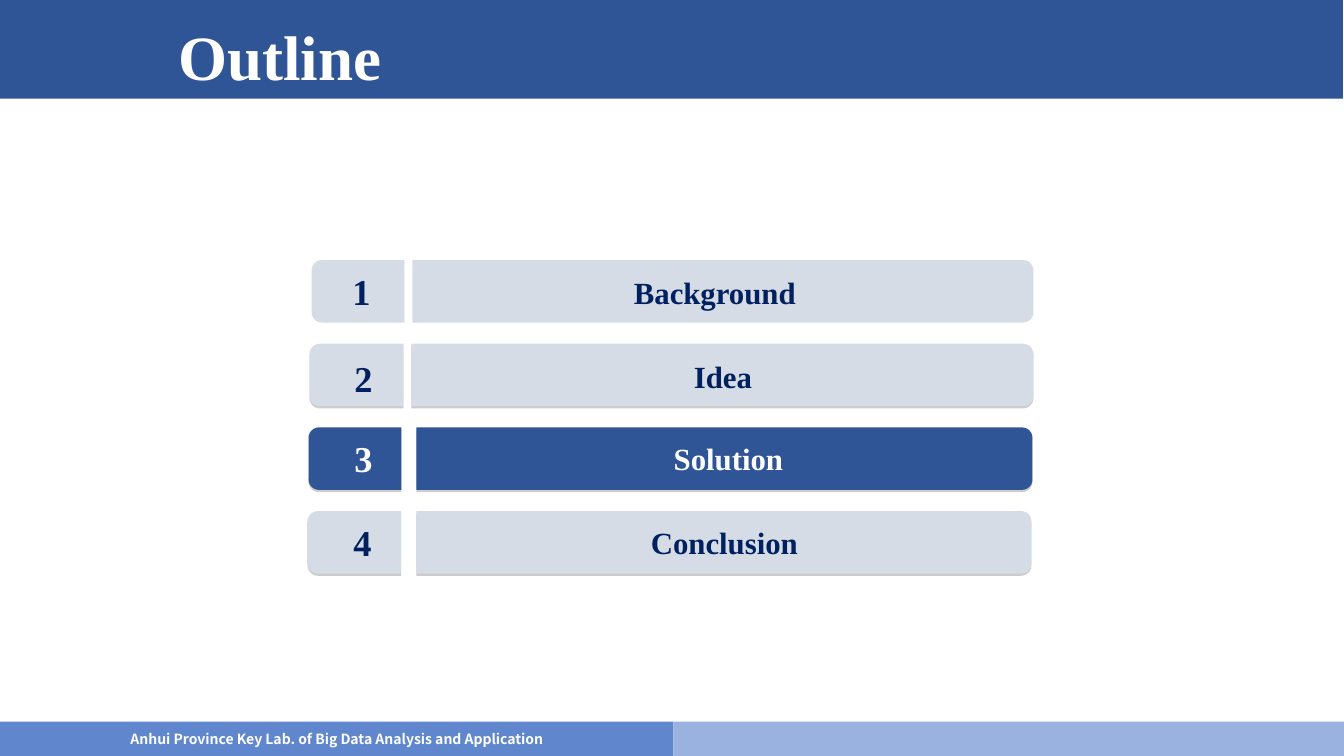
from dataclasses import dataclass

from lxml import etree
from pptx import Presentation
from pptx.dml.color import RGBColor
from pptx.enum.shapes import MSO_SHAPE
from pptx.enum.text import MSO_ANCHOR, PP_ALIGN
from pptx.oxml.ns import qn
from pptx.util import Inches, Pt

RECT = MSO_SHAPE.RECTANGLE
TAB = MSO_SHAPE.ROUND_2_SAME_RECTANGLE
LEFT, CENTER = PP_ALIGN.LEFT, PP_ALIGN.CENTER
MIDDLE, BOTTOM = MSO_ANCHOR.MIDDLE, MSO_ANCHOR.BOTTOM

SERIF, SANS = "Times New Roman", "Noto Sans CJK SC"
BLUE, PALE, NAVY, WHITE = "2F5597", "D6DCE5", "002060", "FFFFFF"
FIRST_ROW_TOP, ROW_PITCH, BAR_HEIGHT = 2.58, 0.83, 0.62


@dataclass
class Section:
    title: str
    number_tab: tuple[float, float]  # left and right edges
    title_bar: tuple[float, float]
    number_at: tuple[float, float]  # left, offset from row top
    title_at: tuple[float, float]
    title_width: float
    current: bool = False
    shadow: bool = True


SECTIONS = [
    Section("Background", (3.09, 4.01), (4.09, 10.25), (3.39, 0.03), (4.06, 0.04), 6.06,
            shadow=False),
    Section("Idea", (3.07, 4), (4.08, 10.25), (3.41, 0.06), (4.14, 0.05), 6.06),
    Section("Solution", (3.06, 3.98), (4.13, 10.24), (3.41, 0.03), (4.14, 0.03), 6.17,
            current=True),
    Section("Conclusion", (3.05, 3.98), (4.13, 10.23), (3.4, 0.03), (4.1, 0.03), 6.17),
]

prs = Presentation()
prs.slide_width, prs.slide_height = Inches(13.33), Inches(7.5)
slide = prs.slides.add_slide(prs.slide_layouts[6])


def rgb(value: str) -> RGBColor:
    return RGBColor.from_string(value)


def add_block(kind: MSO_SHAPE, left: float, top: float, width: float, height: float,
              color: str):
    block = slide.shapes.add_shape(kind, Inches(left), Inches(top), Inches(width),
                                   Inches(height))
    block.shadow.inherit = False
    block.fill.solid()
    block.fill.fore_color.rgb = rgb(color)
    block.line.fill.background()
    return block


def add_text(text: str, left: float, top: float, width: float, height: float, size: float,
             color: str, font: str = SERIF, align: PP_ALIGN = CENTER,
             anchor: MSO_ANCHOR = MIDDLE, wrap: bool = True, spacing: float = 1.0) -> None:
    box = slide.shapes.add_textbox(Inches(left), Inches(top), Inches(width), Inches(height))
    frame = box.text_frame
    frame.word_wrap = wrap
    frame.vertical_anchor = anchor
    paragraph = frame.paragraphs[0]
    paragraph.alignment = align
    paragraph.line_spacing = spacing
    run = paragraph.add_run()
    run.text = text
    run.font.name, run.font.size, run.font.bold = font, Pt(size), True
    run.font.color.rgb = rgb(color)
    # East Asian face matches the Latin one
    etree.SubElement(run.font._element, qn("a:ea"), typeface=font)


def add_shadow(block) -> None:
    effects = block._element.spPr.find(qn("a:effectLst"))
    shadow = etree.SubElement(effects, qn("a:outerShdw"), blurRad="0", dist=str(Pt(1.6)),
                              dir="5400000", algn="ctr", rotWithShape="0")
    color = etree.SubElement(shadow, qn("a:srgbClr"), val="808080")
    etree.SubElement(color, qn("a:alpha"), val="38000")


def add_bar(edges: tuple[float, float], top: float, rotation: int, color: str,
            shadow: bool) -> None:
    """Draw a bar whose rounded end faces left (270) or right (90)."""
    left, right = edges
    length = right - left
    bar = add_block(TAB, (left + right - BAR_HEIGHT) / 2, top + (BAR_HEIGHT - length) / 2,
                    BAR_HEIGHT, length, color)
    bar.rotation = rotation
    if shadow:
        add_shadow(bar)


def add_section(index: int, section: Section) -> None:
    top = FIRST_ROW_TOP + index * ROW_PITCH
    fill, ink = (BLUE, WHITE) if section.current else (PALE, NAVY)
    add_bar(section.number_tab, top, 270, fill, section.shadow)
    add_bar(section.title_bar, top, 90, fill, section.shadow)
    left, offset = section.number_at
    add_text(str(index + 1), left, top + offset, 0.39, 0.55, 26, ink, wrap=False)
    left, offset = section.title_at
    add_text(section.title, left, top + offset, section.title_width, 0.55, 22, ink)


# Header
add_block(RECT, -0.01, 0, 13.33, 0.98, BLUE)
add_text("Outline", 1.67, 0, 10, 0.98, 45, WHITE, align=LEFT, anchor=BOTTOM, spacing=0.9)

# Footer
add_block(RECT, 0, 7.16, 6.68, 0.34, "6087CE")
add_block(RECT, 6.68, 7.16, 6.67, 0.34, "99B2DF")
add_text("Anhui Province Key Lab. of Big Data Analysis and Application",
         0.26, 7.2, 6.16, 0.27, 10, WHITE, font=SANS)

# Outline rows
for index, section in enumerate(SECTIONS):
    add_section(index, section)

prs.save("out.pptx")
